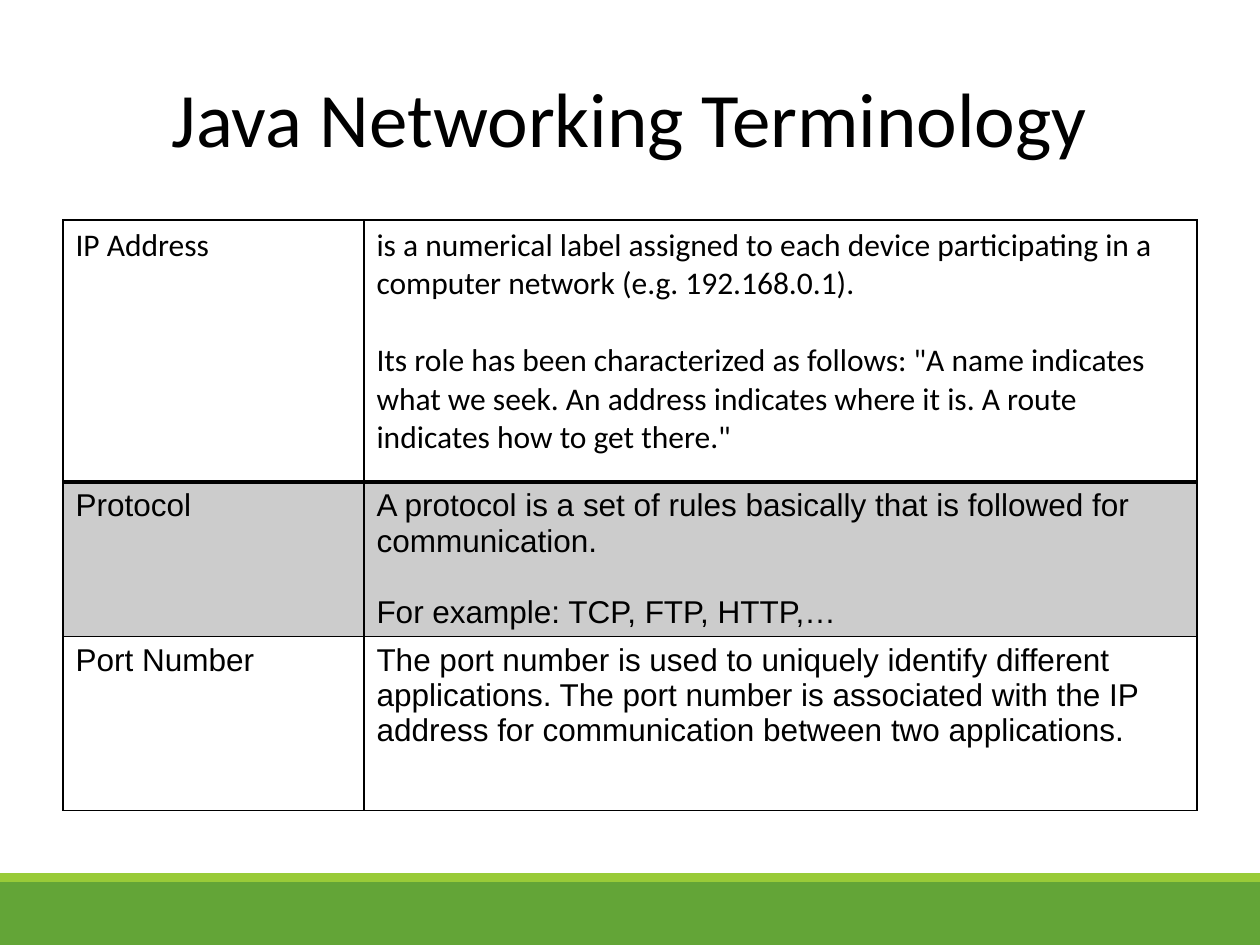
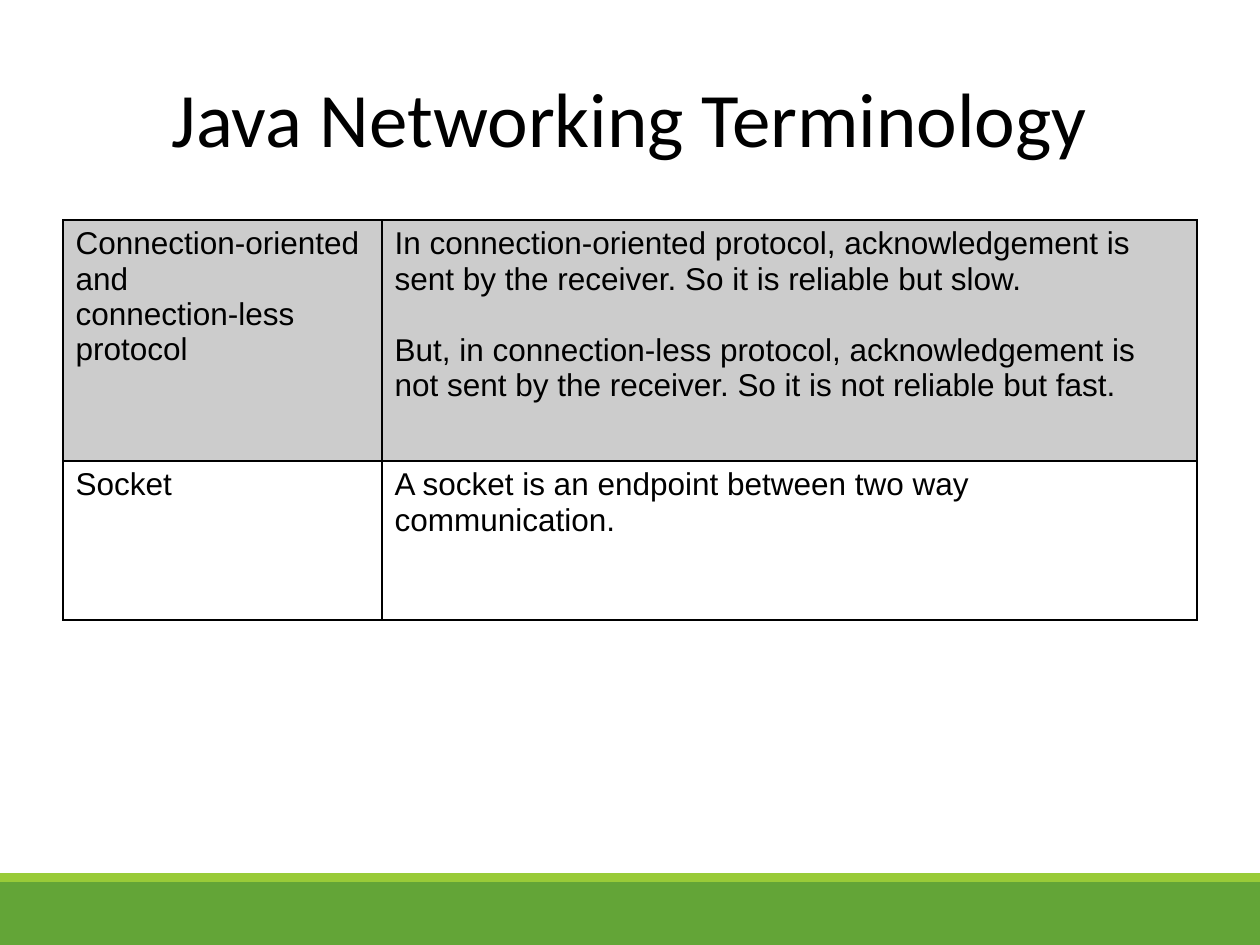
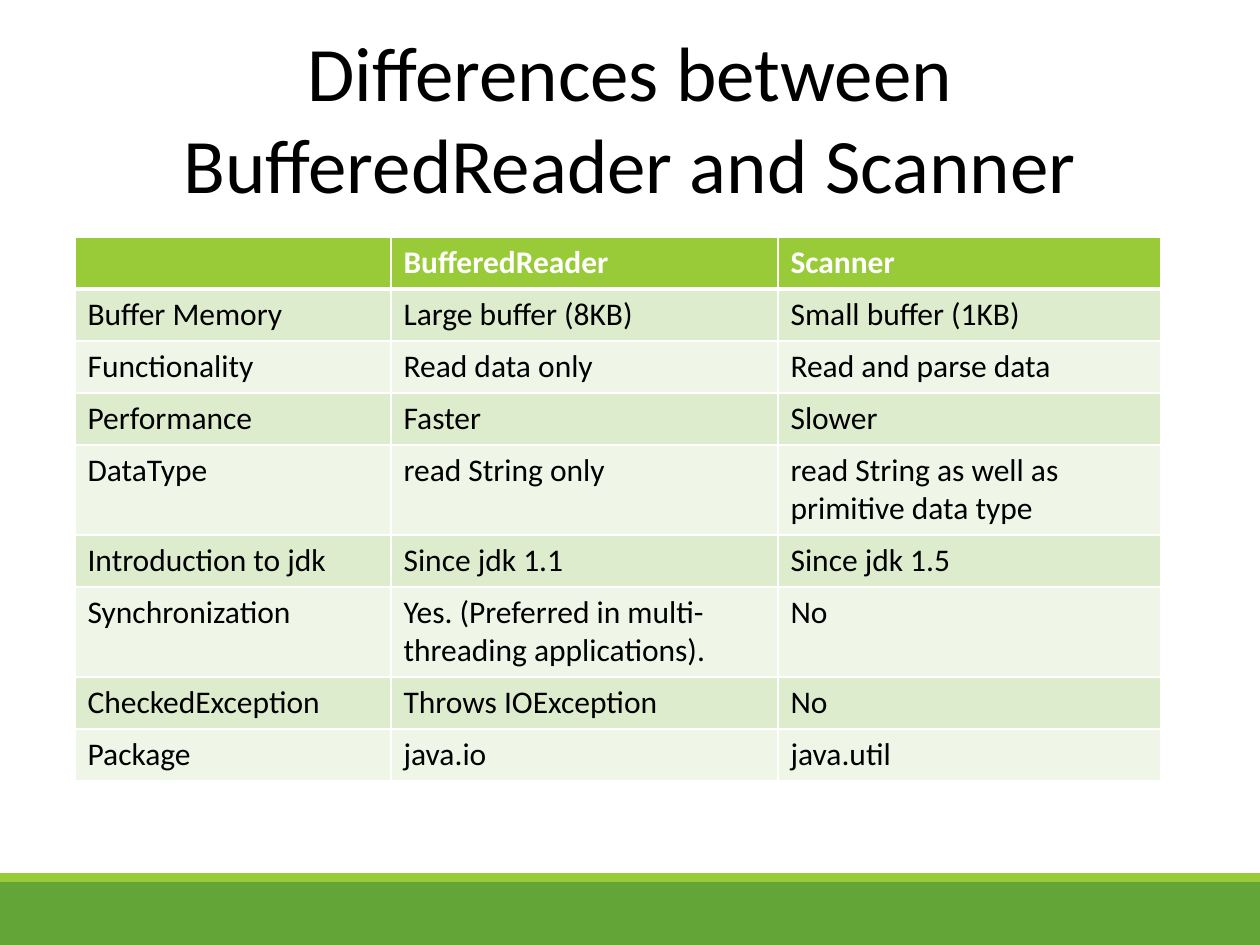
from dataclasses import dataclass
from typing import Optional

from lxml import etree
from pptx import Presentation
from pptx import util as u
from pptx.dml.color import RGBColor
from pptx.enum import shapes, text
from pptx.oxml import ns

BLACK = RGBColor(0x00, 0x00, 0x00)
WHITE = RGBColor(0xFF, 0xFF, 0xFF)
GREEN = RGBColor(0x63, 0xA5, 0x37)
LIME = RGBColor(0x99, 0xCB, 0x38)
PALE_GREEN = RGBColor(0xDE, 0xEC, 0xCE)
PALEST_GREEN = RGBColor(0xEF, 0xF6, 0xE8)

CALIBRI = "Calibri"
ARIAL = "Arial"
LINE_GAP = {CALIBRI: 22, ARIAL: 20.5}
PX_PER_INCH = 126


def px(length):
    return u.Emu(round(length * u.Inches(1) / PX_PER_INCH))


@dataclass
class Row:
    height: int
    texts: tuple
    font: str = ARIAL
    fill: Optional[RGBColor] = None
    opacity: int = 100
    color: RGBColor = BLACK
    bold: bool = False


class Deck:
    def __init__(self):
        self.presentation = Presentation()
        self.presentation.slide_width = px(1260)
        self.presentation.slide_height = px(945)
        self.slide = None

    def start_slide(self, heading):
        layout = self.presentation.slide_layouts[5]
        self.slide = self.presentation.slides.add_slide(layout)
        self.band(882, 63, GREEN)
        self.band(873, 9, LIME)
        self.title(heading)

    def band(self, top, height, color):
        band = self.slide.shapes.add_shape(
            shapes.MSO_SHAPE.RECTANGLE, 0, px(top), px(1260), px(height))
        band.shadow.inherit = False
        band.fill.solid()
        band.fill.fore_color.rgb = color
        band.line.fill.background()

    def title(self, heading):
        title = self.slide.shapes.title
        title.left, title.top = px(63), px(38)
        title.width, title.height = px(1134), px(157)
        frame = title.text_frame
        frame.text = heading
        frame.word_wrap = True
        frame.auto_size = text.MSO_AUTO_SIZE.NONE
        frame.vertical_anchor = text.MSO_ANCHOR.MIDDLE
        frame.paragraphs[0].alignment = text.PP_ALIGN.CENTER
        self.format_runs(frame, CALIBRI, 44, BLACK)

    def format_runs(self, frame, font, size, color, bold=False):
        for paragraph in frame.paragraphs:
            for run in paragraph.runs:
                run.font.name = font
                run.font.size = u.Pt(size)
                run.font.color.rgb = color
                run.font.bold = bold

    def table(self, left, top, widths, rows, border, thin, heavy, gap_column=None):
        heights = [row.height for row in rows]
        table = self.slide.shapes.add_table(
            len(rows), len(widths), px(left), px(top),
            px(sum(widths)), px(sum(heights))).table
        table.first_row = False
        table.horz_banding = False
        for column, width in zip(table.columns, widths):
            column.width = px(width)
        for index, row in enumerate(rows):
            table.rows[index].height = px(row.height)
            edges = {"lnL": thin, "lnR": thin,
                     "lnT": heavy if index == 1 else thin,
                     "lnB": heavy if index == 0 else thin}
            for column, words in enumerate(row.texts):
                cell = table.cell(index, column)
                self.cell_borders(cell, border, edges)
                self.cell_fill(cell, row)
                cell.text_frame.text = words
                self.format_runs(cell.text_frame, row.font, 18, row.color, row.bold)
                if column == gap_column:
                    for paragraph in cell.text_frame.paragraphs[1:]:
                        paragraph.space_before = u.Pt(LINE_GAP[row.font])

    def cell_borders(self, cell, color, edges):
        properties = cell._tc.get_or_add_tcPr()
        for edge, width in edges.items():
            line = etree.SubElement(properties, ns.qn(f"a:{edge}"), w=str(u.Pt(width)))
            solid = etree.SubElement(line, ns.qn("a:solidFill"))
            etree.SubElement(solid, ns.qn("a:srgbClr"), val=str(color))

    def cell_fill(self, cell, row):
        if row.fill is None:
            cell.fill.background()
            return
        cell.fill.solid()
        cell.fill.fore_color.rgb = row.fill
        if row.opacity < 100:
            color = cell._tc.tcPr.find(ns.qn("a:solidFill")).find(ns.qn("a:srgbClr"))
            etree.SubElement(color, ns.qn("a:alpha"), val=str(row.opacity * 1000))

    def terms(self, widths, rows, heavy):
        self.table(63, 220, widths, rows, BLACK, 0.96, heavy, gap_column=1)

    def comparison(self, widths, header, features):
        rows = [Row(52, header, CALIBRI, LIME, color=WHITE, bold=True)]
        for index, (height, *texts) in enumerate(features):
            fill = PALEST_GREEN if index % 2 else PALE_GREEN
            rows.append(Row(height, texts, CALIBRI, fill))
        self.table(75, 237, widths, rows, WHITE, 1, 3)


def main():
    deck = Deck()

    deck.start_slide("Java Networking Terminology")
    deck.terms((301, 833), [
        Row(262, (
            "IP Address",
            "is a numerical label assigned to each device participating in "
            "a computer network (e.g. 192.168.0.1).\n"
            "Its role has been characterized as follows: \"A name indicates "
            "what we seek. An address indicates where it is. A route "
            "indicates how to get there.\""), CALIBRI),
        Row(153, (
            "Protocol",
            "A protocol is a set of rules basically that is followed for "
            "communication.\nFor example: TCP, FTP, HTTP,…"),
            fill=BLACK, opacity=20),
        Row(174, (
            "Port Number",
            "The port number is used to uniquely identify different "
            "applications. The port number is associated with the IP "
            "address for communication between two applications.")),
    ], heavy=1.98)

    deck.start_slide("Java Networking Terminology")
    deck.terms((319, 815), [
        Row(241, (
            "Connection-oriented\nand\nconnection-less protocol",
            "In connection-oriented protocol, acknowledgement is "
            "sent by the receiver. So it is reliable but slow.\n"
            "But, in connection-less protocol, acknowledgement is "
            "not sent by the receiver. So it is not reliable but fast."),
            fill=BLACK, opacity=20),
        Row(159, (
            "Socket",
            "A socket is an endpoint between two way communication.")),
    ], heavy=0.96)

    deck.start_slide("Differences between BufferedReader and Scanner")
    deck.comparison((316, 387, 383), ("", "BufferedReader", "Scanner"), [
        (52, "Buffer Memory", "Large buffer (8KB)", "Small buffer (1KB)"),
        (52, "Functionality", "Read data only", "Read and parse data"),
        (52, "Performance", "Faster", "Slower"),
        (90, "DataType", "read String only",
         "read String as well as primitive data type"),
        (52, "Introduction to jdk", "Since jdk 1.1", "Since jdk 1.5"),
        (90, "Synchronization",
         "Yes. (Preferred in multi-threading applications).", "No"),
        (52, "CheckedException", "Throws IOException", "No"),
        (52, "Package", "java.io", "java.util"),
    ])

    deck.presentation.save("out.pptx")


if __name__ == "__main__":
    main()
